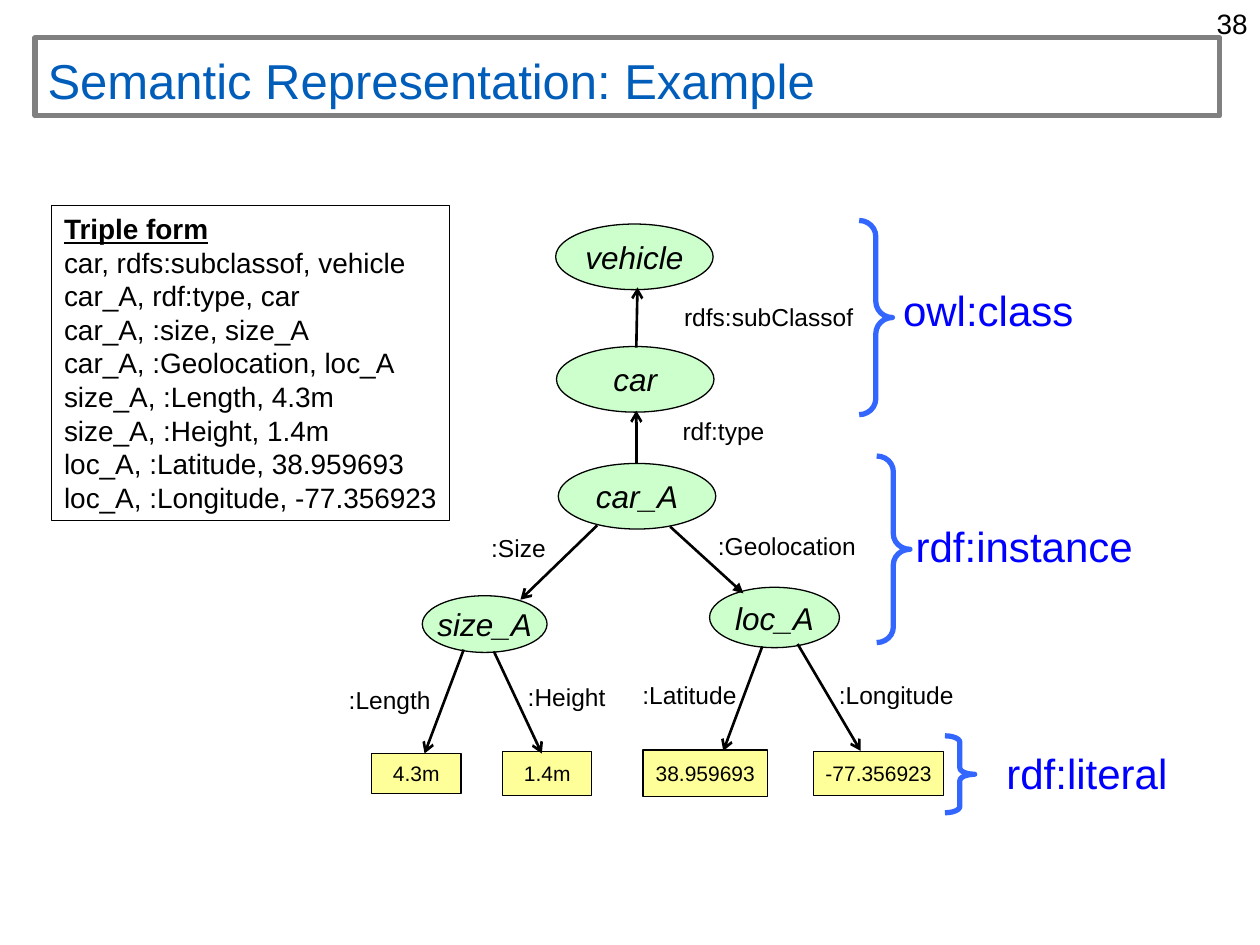
from pptx import Presentation
from pptx.dml.color import RGBColor
from pptx.enum.shapes import MSO_CONNECTOR, MSO_SHAPE
from pptx.enum.text import MSO_ANCHOR, MSO_AUTO_SIZE, PP_ALIGN
from pptx.oxml.ns import qn
from pptx.util import Pt
from lxml.etree import SubElement


def rgb(value):
    return RGBColor.from_string(value)


class Diagram:
    font = "Arial"
    ink = "000000"
    title_color = "005DBA"
    frame_color = "808080"
    node_fill = "CCFFCC"
    literal_fill = "FFFF99"
    brace_color = "3366FF"
    group_color = "0000FF"

    def __init__(self, slide):
        self.slide = slide

    def set_text(self, frame, text, size, color, align=PP_ALIGN.LEFT,
                 anchor=MSO_ANCHOR.TOP, wrap=True, italic=False):
        frame.text = text
        frame.word_wrap = wrap
        frame.auto_size = MSO_AUTO_SIZE.NONE
        frame.vertical_anchor = anchor
        for paragraph in frame.paragraphs:
            paragraph.alignment = align
            for run in paragraph.runs:
                run.font.name = self.font
                run.font.size = Pt(size)
                run.font.italic = italic
                run.font.color.rgb = rgb(color)

    def title(self, text, left, top, width, height):
        title = self.slide.shapes.title
        title.left, title.top = Pt(left), Pt(top)
        title.width, title.height = Pt(width), Pt(height)
        title.line.color.rgb = rgb(self.frame_color)
        title.line.width = Pt(3)
        self.set_text(title.text_frame, text, 28, self.title_color,
                      anchor=MSO_ANCHOR.BOTTOM)

    def label(self, text, left, top, width, height=24.5, size=14, color=ink,
              align=PP_ALIGN.LEFT):
        label = self.slide.shapes.add_textbox(Pt(left), Pt(top), Pt(width), Pt(height))
        self.set_text(label.text_frame, text, size, color, align)

    def outline(self, kind, left, top, width, height, fill=None, color=ink, weight=0.75):
        shape = self.slide.shapes.add_shape(kind, Pt(left), Pt(top), Pt(width), Pt(height))
        shape.shadow.inherit = False
        if fill:
            shape.fill.solid()
            shape.fill.fore_color.rgb = rgb(fill)
        else:
            shape.fill.background()
        shape.line.color.rgb = rgb(color)
        shape.line.width = Pt(weight)
        return shape

    def node(self, text, *box):
        node = self.outline(MSO_SHAPE.OVAL, *box, fill=self.node_fill)
        self.set_text(node.text_frame, text, 18, self.ink, PP_ALIGN.CENTER,
                      MSO_ANCHOR.MIDDLE, wrap=False, italic=True)

    def literal(self, text, *box):
        literal = self.outline(MSO_SHAPE.RECTANGLE, *box, fill=self.literal_fill)
        self.set_text(literal.text_frame, text, 12, self.ink, PP_ALIGN.CENTER,
                      MSO_ANCHOR.MIDDLE, wrap=False)

    def arrow(self, x1, y1, x2, y2, head="arrow"):
        arrow = self.slide.shapes.add_connector(
            MSO_CONNECTOR.STRAIGHT, Pt(x1), Pt(y1), Pt(x2), Pt(y2))
        arrow.line.color.rgb = rgb(self.ink)
        arrow.line.width = Pt(1.5)
        properties = arrow.element.spPr
        SubElement(properties.find(qn("a:ln")), qn("a:tailEnd"), type=head)
        SubElement(properties, qn("a:effectLst"))

    def brace(self, left, top, width, height):
        brace = self.outline(MSO_SHAPE.RIGHT_BRACE, left, top, width, height,
                             color=self.brace_color, weight=3)
        brace.adjustments[0] = height / 12 / width

    def triples(self, heading, statements, *box):
        listing = self.outline(MSO_SHAPE.RECTANGLE, *box)
        self.set_text(listing.text_frame, "\n".join([heading, *statements]), 16,
                      self.ink, wrap=False)
        heading_font = listing.text_frame.paragraphs[0].runs[0].font
        heading_font.bold = True
        heading_font.underline = True


NODES = [
    ("vehicle", 317.5, 128, 90, 37.5),
    ("car", 318, 198, 90, 37.5),
    ("car_A", 319, 264.8, 90, 37.5),
    ("size_A", 241.3, 340.4, 71.3, 32.4),
    ("loc_A", 405.5, 335.6, 74.2, 34.5),
]
LITERALS = [
    ("4.3m", 212.4, 430.4, 51, 23.2),
    ("1.4m", 287.2, 429.3, 51, 25.4),
    ("38.959693", 367.4, 428.5, 71.3, 26.8),
    ("-77.356923", 465, 429.3, 74.2, 25.4),
]
RELATIONS = [
    ("rdfs:subClassof", (383.8, 169.2, 121.7), (363.6, 198.7, 364.3, 164.2)),
    ("rdf:type", (383, 234.2, 69.8), (363.6, 265, 363.6, 234.7)),
    (":Size", (273.6, 301, 55.4), (341.3, 300.2, 297.4, 342.7)),
    (":Geolocation", (403.2, 300.2, 100), (383, 301, 424.8, 339.1, "triangle")),
    (":Length", (192.2, 388, 66.2), (265, 371.2, 242.6, 430.6)),
    (":Height", (294.5, 386, 67), (282.2, 372.2, 309.6, 430.6)),
    (":Latitude", (360, 385.2, 77), (435.6, 369.4, 413.3, 429.1)),
    (":Longitude", (472.3, 385.2, 91.4), (455.8, 368, 491.8, 429.1)),
]
GROUPS = [
    ("owl:class", (509, 159.1, 113), (491, 126, 19, 111)),
    ("rdf:instance", (516.2, 293.8, 139.7), (501, 260.6, 19, 106.6)),
    ("rdf:literal", (568, 423.4, 128.9), (540, 420.5, 17, 44)),
]
STATEMENTS = [
    "car, rdfs:subclassof, vehicle",
    "car_A, rdf:type, car",
    "car_A, :size, size_A",
    "car_A, :Geolocation, loc_A",
    "size_A, :Length, 4.3m",
    "size_A, :Height, 1.4m",
    "loc_A, :Latitude, 38.959693",
    "loc_A, :Longitude, -77.356923",
]


def main():
    deck = Presentation()
    deck.slide_width, deck.slide_height = Pt(720), Pt(540)
    diagram = Diagram(deck.slides.add_slide(deck.slide_layouts[5]))

    diagram.title("Semantic Representation: Example", 20, 21.6, 677, 44.6)
    diagram.label("38", 673.2, 0, 46.8, 26.6, size=16, align=PP_ALIGN.RIGHT)
    for node in NODES:
        diagram.node(*node)
    for literal in LITERALS:
        diagram.literal(*literal)
    for name, place, ends in RELATIONS:
        diagram.arrow(*ends)
        diagram.label(name, *place)
    for name, place, span in GROUPS:
        diagram.brace(*span)
        diagram.label(name, *place, height=36, size=24, color=diagram.group_color)
    diagram.triples("Triple form", STATEMENTS, 29.5, 117.4, 227.2, 180)

    deck.save("out.pptx")


if __name__ == "__main__":
    main()
